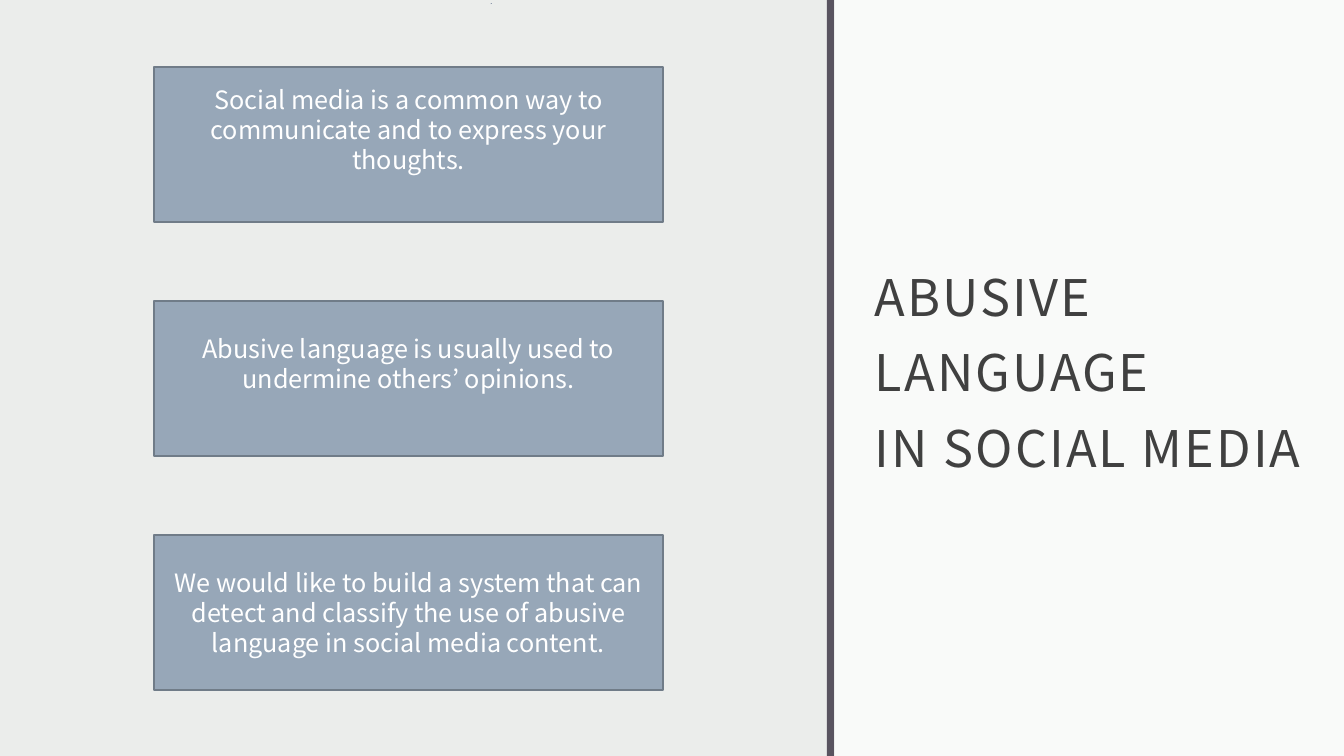
"""Build the slide on abusive language in social media."""
import pptx
import pptx.util
import pptx.dml.color
import pptx.enum.shapes
import pptx.enum.text
import pptx.oxml

SCALE = 914400 / 100.8
FONT = "Noto Sans CJK JP"
COLORS = {
    "back": "EBEDEB", "panel": "FFFFFF", "bar": "595460", "dot": "30466D",
    "title": "404040", "card": "97A7B8", "edge": "707C88", "text": "FFFFFF",
}


def emu(pixels):
    return round(pixels * SCALE)


def color(name):
    return pptx.dml.color.RGBColor.from_string(COLORS[name])


def write(shape, text, size=18, tint="text", align="CENTER", gap=None, track=0,
          inset=(10, 5, 10, 5)):
    frame = shape.text_frame
    frame.word_wrap = True
    frame.vertical_anchor = pptx.enum.text.MSO_ANCHOR.MIDDLE
    (frame.margin_left, frame.margin_top,
     frame.margin_right, frame.margin_bottom) = map(emu, inset)
    line = frame.paragraphs[0]
    line.text = text
    line.alignment = getattr(pptx.enum.text.PP_ALIGN, align)
    line.line_spacing = gap
    for run in line.runs:
        run.font.name = FONT
        run.font.size = pptx.util.Pt(size)
        run.font.color.rgb = color(tint)
        props = run._r.get_or_add_rPr()
        props.set("spc", str(round(track * 100)))
        face = pptx.oxml.parse_xml(
            '<a:ea xmlns:a="http://schemas.openxmlformats.org/drawingml/2006/main"'
            f' typeface="{FONT}"/>')
        props.append(face)


class Page:
    def __init__(self, slide):
        self.slide = slide
        fill = slide.background.fill
        fill.solid()
        fill.fore_color.rgb = color("back")

    def paint(self, shape, fill, edge=None, alpha=None):
        shape.shadow.inherit = False
        shape.fill.solid()
        shape.fill.fore_color.rgb = color(fill)
        if alpha:
            tint = shape.fill._xPr.solidFill[0]
            tint.append(pptx.oxml.parse_xml(
                '<a:alpha xmlns:a="http://schemas.openxmlformats.org/drawingml/2006/main"'
                f' val="{alpha * 1000}"/>'))
        if edge:
            shape.line.color.rgb = color(edge)
            shape.line.width = pptx.util.Pt(1)
        else:
            shape.line.fill.background()
        return shape

    def rect(self, box, fill, **style):
        kind = pptx.enum.shapes.MSO_SHAPE.RECTANGLE
        shape = self.slide.shapes.add_shape(kind, *map(emu, box))
        return self.paint(shape, fill, **style)

    def form(self, points, fill):
        first, *rest = points
        draw = self.slide.shapes.build_freeform(*first, scale=SCALE)
        draw.add_line_segments(rest, close=True)
        return self.paint(draw.convert_to_shape(), fill)

    def label(self, box, text, **style):
        shape = self.slide.shapes.add_textbox(*map(emu, box))
        write(shape, text, **style)


deck = pptx.Presentation()
deck.slide_width, deck.slide_height = emu(1344), emu(756)
page = Page(deck.slides.add_slide(deck.slide_layouts[6]))

page.rect((835, 0, 509, 756), "panel", alpha=75)
page.form([(491, 3), (492, 3), (491, 4)], "dot")
page.rect((827, 0, 7, 756), "bar")
page.label((863, 81, 458, 564), "ABUSIVE LANGUAGE\vIN SOCIAL MEDIA", size=36,
           tint="title", align="LEFT", gap=1.25, track=1.5, inset=(12, 12, 12, 10))

CARDS = [
    ("Social media is a common way to communicate and to express your thoughts.", 35),
    ("Abusive language is usually used to undermine others’ opinions.", 35),
    ("We would like to build a system that can detect and classify the use of "
     "abusive language in social media content.", 5),
]
for row, (text, foot) in enumerate(CARDS):
    card = page.rect((154, 67 + 234 * row, 509, 155), "card", edge="edge")
    write(card, text, inset=(10, 5, 10, foot))

deck.save("out.pptx")
